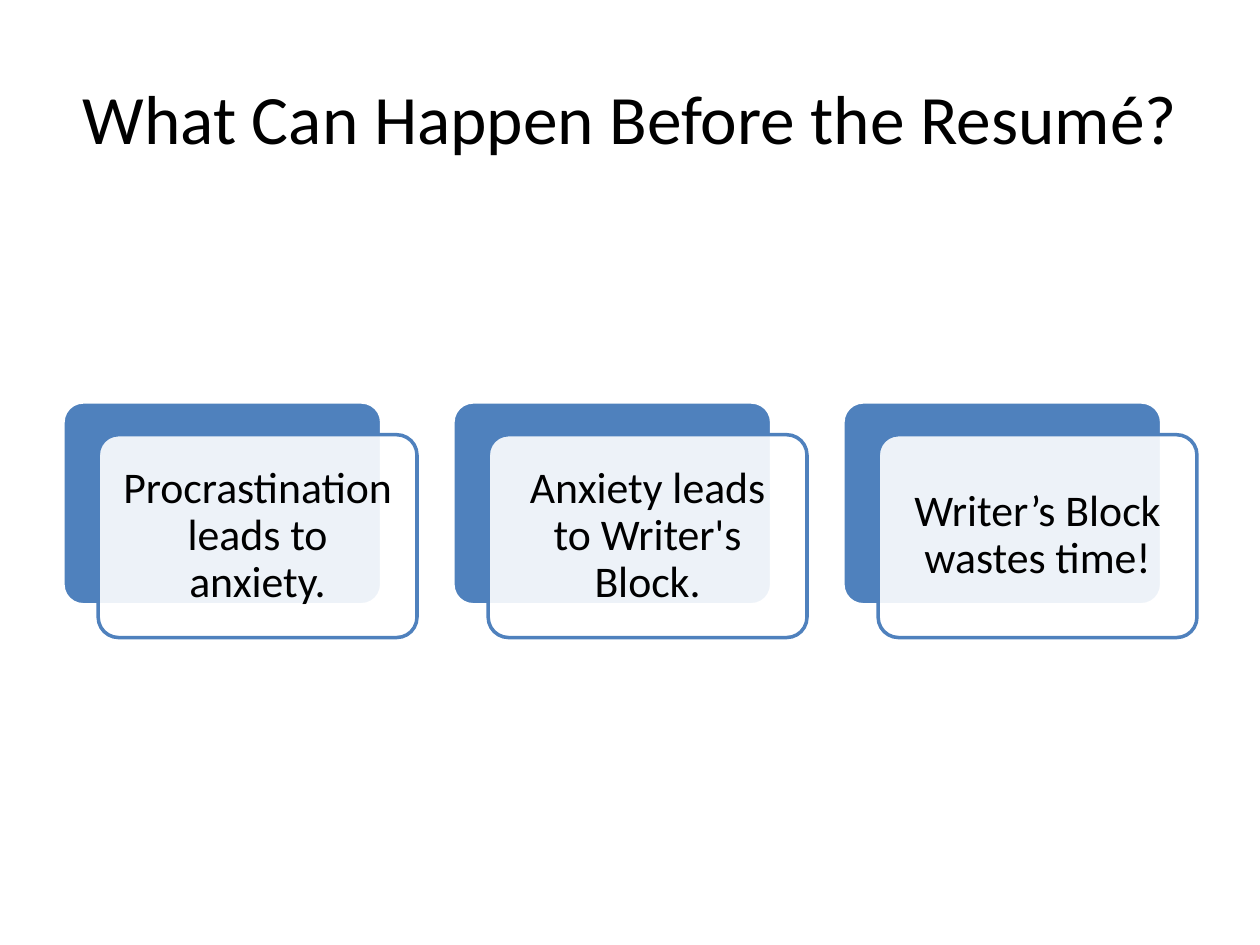
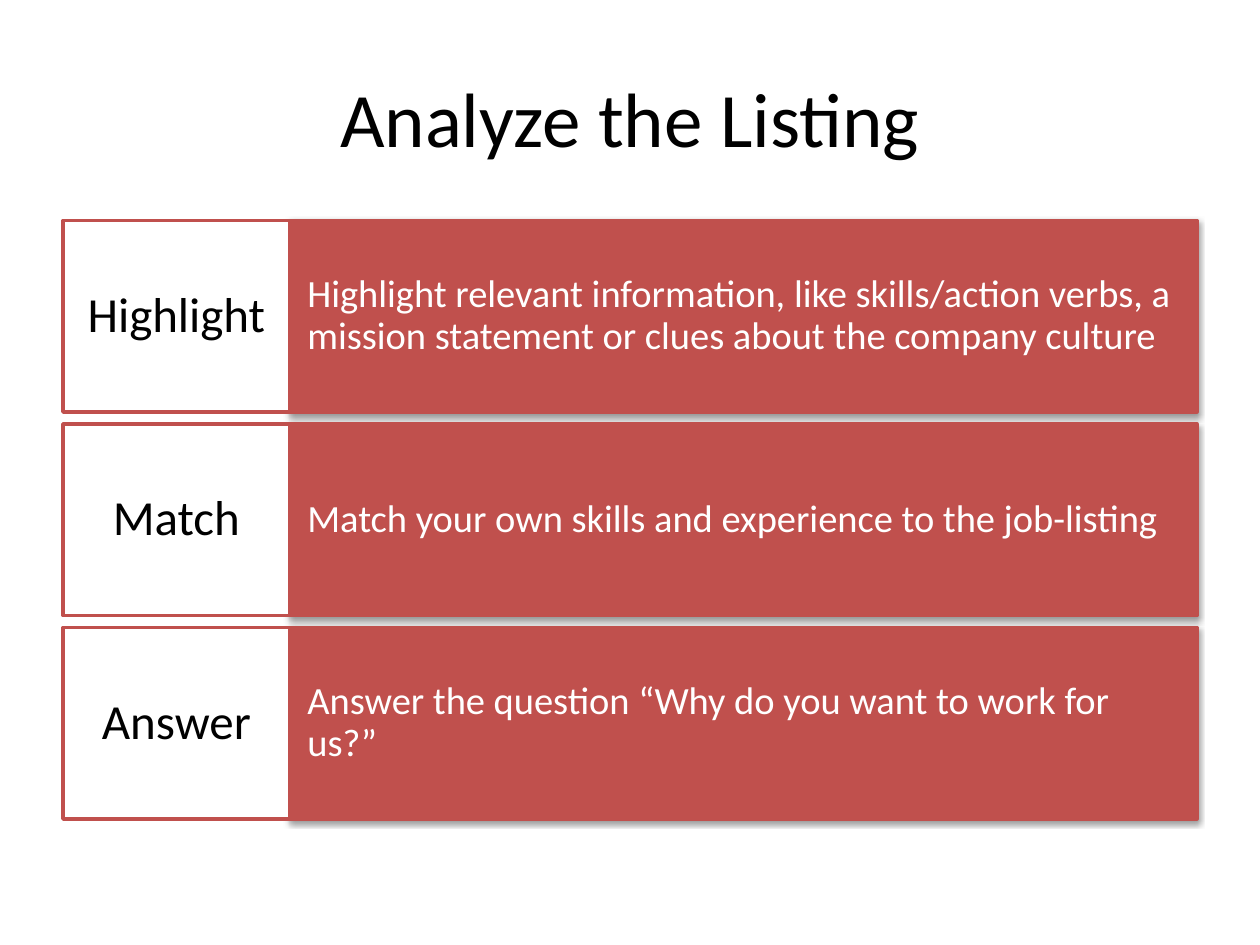
"""Build two slides: what delays a resumé, and how to analyze a job listing."""
import pptx
import pptx.util
from lxml import etree
from pptx.dml.color import RGBColor
from pptx.enum.shapes import MSO_SHAPE
from pptx.enum.text import MSO_ANCHOR, MSO_AUTO_SIZE, PP_ALIGN
from pptx.oxml.ns import qn

CARDS_TITLE = "What Can Happen Before the Resumé?"
CARDS = [
    "Procrastination leads to anxiety.",
    "Anxiety leads to Writer's Block.",
    "Writer’s Block wastes time!",
]
STEPS_TITLE = "Analyze the Listing"
STEPS = [
    ("Highlight", "Highlight relevant information, like skills/action verbs, a "
                  "mission statement or clues about the company culture"),
    ("Match", "Match your own skills and experience to the job-listing"),
    ("Answer", "Answer the question “Why do you want to work for us?”"),
]

BLACK = RGBColor(0x00, 0x00, 0x00)
WHITE = RGBColor(0xFF, 0xFF, 0xFF)
BLUE = RGBColor(0x4F, 0x81, 0xBD)
RED = RGBColor(0xC0, 0x50, 0x4D)

FONT = "Calibri"
WIDTH, HEIGHT = 10, 7.5
MARGIN = WIDTH / 20
CONTENT_W = WIDTH - 2 * MARGIN
TITLE_BOX = (MARGIN, 0.3, CONTENT_W, 1.25)

CARD_W, CARD_H, CARD_TOP = 2.53, 1.61, 3.19
CARD_DX, CARD_DY = 0.28, 0.26
CARD_PITCH = (CONTENT_W - CARD_W - CARD_DX) / (len(CARDS) - 1)

STEPS_TOP, STEPS_BOTTOM, STEP_H = 1.75, 6.5, 1.52
STEP_PITCH = (STEPS_BOTTOM - STEPS_TOP - STEP_H) / (len(STEPS) - 1)
LABEL_W = CONTENT_W / 5

CARD_TEXT = {"size": 25, "color": BLACK, "align": PP_ALIGN.CENTER, "insets": (0.1, 0.1)}
LABEL_TEXT = {"size": 28, "color": BLACK, "align": PP_ALIGN.CENTER, "insets": (0.1, 0.15)}
DETAIL_TEXT = {"size": 22, "color": WHITE, "align": PP_ALIGN.LEFT, "insets": (0.14, 0.39)}


def inches(values):
    return [pptx.util.Inches(v) for v in values]


def set_attrs(obj, values):
    for name, value in values.items():
        setattr(obj, name, value)


def write(shape, text, size, color, align, insets, spacing=0.9):
    tf = shape.text_frame
    tf.text = text
    dx, dy = inches(insets)
    set_attrs(tf, {"word_wrap": True, "auto_size": MSO_AUTO_SIZE.NONE,
                   "vertical_anchor": MSO_ANCHOR.MIDDLE,
                   "margin_left": dx, "margin_right": dx,
                   "margin_top": dy, "margin_bottom": dy})
    p = tf.paragraphs[0]
    set_attrs(p, {"alignment": align, "line_spacing": spacing})
    font = p.runs[0].font
    set_attrs(font, {"name": FONT, "size": pptx.util.Pt(size)})
    font.color.rgb = color


def add_titled_slide(prs, title, size):
    s = prs.slides.add_slide(prs.slide_layouts[5])
    sp = s.shapes.title
    set_attrs(sp, dict(zip(("left", "top", "width", "height"), inches(TITLE_BOX))))
    write(sp, title, size, BLACK, PP_ALIGN.CENTER, (0.1, 0.05), 1.0)
    return s


def add_box(s, kind, box, fill, line):
    sp = s.shapes.add_shape(kind, *inches(box))
    sp.shadow.inherit = False
    sp.fill.solid()
    sp.fill.fore_color.rgb = fill
    sp.line.color.rgb = line
    sp.line.width = pptx.util.Pt(2)
    if kind == MSO_SHAPE.ROUNDED_RECTANGLE:
        sp.adjustments[0] = 0.1
    return sp


def add_alpha(color, percent):
    etree.SubElement(color, qn("a:alpha"), val=str(percent * 1000))


def add_shadow(sp):
    effects = sp._element.spPr.find(qn("a:effectLst"))
    shadow = etree.SubElement(effects, qn("a:outerShdw"), blurRad="40000", dist="20000",
                              dir="5400000", rotWithShape="0")
    add_alpha(etree.SubElement(shadow, qn("a:srgbClr"), val=str(BLACK)), 38)


def build_cards(prs):
    s = add_titled_slide(prs, CARDS_TITLE, 39.6)
    rounded = MSO_SHAPE.ROUNDED_RECTANGLE
    for i, text in enumerate(CARDS):
        left = MARGIN + i * CARD_PITCH
        add_box(s, rounded, (left, CARD_TOP, CARD_W, CARD_H), BLUE, WHITE)
        front = add_box(s, rounded, (left + CARD_DX, CARD_TOP + CARD_DY, CARD_W, CARD_H),
                        WHITE, BLUE)
        add_alpha(front._element.spPr.find(qn("a:solidFill"))[0], 90)
        write(front, text, **CARD_TEXT)


def build_steps(prs):
    s = add_titled_slide(prs, STEPS_TITLE, 44)
    for i, (label, detail) in enumerate(STEPS):
        top = STEPS_TOP + i * STEP_PITCH
        sp = add_box(s, MSO_SHAPE.RECTANGLE,
                     (MARGIN + LABEL_W, top, CONTENT_W - LABEL_W, STEP_H), RED, RED)
        add_shadow(sp)
        write(sp, detail, **DETAIL_TEXT)
        sp = add_box(s, MSO_SHAPE.RECTANGLE, (MARGIN, top, LABEL_W, STEP_H), WHITE, RED)
        write(sp, label, **LABEL_TEXT)


def main():
    prs = pptx.Presentation()
    prs.slide_width, prs.slide_height = inches((WIDTH, HEIGHT))
    build_cards(prs)
    build_steps(prs)
    prs.save("out.pptx")


if __name__ == "__main__":
    main()
